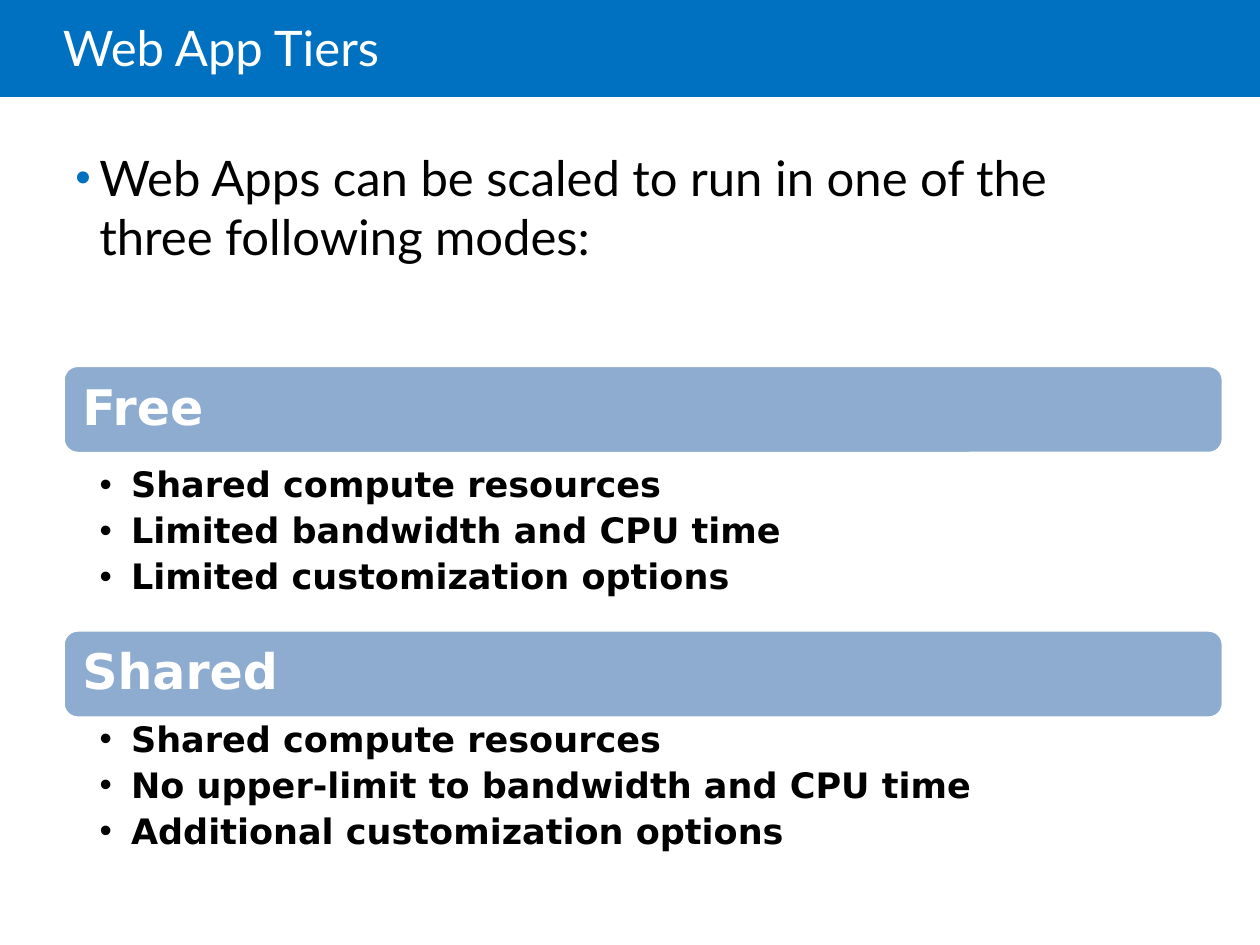
import pptx
import pptx.util
import pptx.dml.color
import pptx.enum.shapes
import pptx.enum.text
import pptx.oxml.ns
from lxml import etree

Inch, Pt = pptx.util.Inches, pptx.util.Pt
Kind = pptx.enum.shapes.MSO_SHAPE
Anchor = pptx.enum.text.MSO_ANCHOR

WIDE, HIGH = 10, 7.5
LEFT = WIDE * 0.05
SPAN = 9.21
BAR = 0.7

TITLE = "Web App Tiers"
INTRO = "Web Apps can be scaled to run in one of the three following modes:"
# name, top of bar, top of list, list height, points
TIERS = [
    ("Free", 2.9, 3.68, 1.4, [
        "Shared compute resources",
        "Limited bandwidth and CPU time",
        "Limited customization options"]),
    ("Shared", 5, 5.7, 1.04, [
        "Shared compute resources",
        "No upper-limit to bandwidth and CPU time",
        "Additional customization options"]),
]

HEAD = {"size": Pt(28), "name": "Lato", "color": "FFFFFF"}
BODY = {**HEAD, "color": "000000"}
LABEL = {"size": Pt(28), "name": "DejaVu Sans", "color": "FFFFFF", "bold": True}
POINT = {**LABEL, "size": Pt(20), "color": "000000"}


def tint(text):
    return pptx.dml.color.RGBColor.from_string(text)


def bullet(para, indent, color, share):
    """Add a hanging bullet; share is its size in percent of the text."""
    props = para._p.get_or_add_pPr()
    props.set("marL", str(Inch(indent)))
    props.set("indent", str(-Inch(indent)))

    def add(parent, tag, **attrs):
        return etree.SubElement(parent, pptx.oxml.ns.qn("a:" + tag), attrs)

    add(add(props, "buClr"), "srgbClr", val=color)
    add(props, "buSzPct", val=str(share * 1000))
    add(props, "buFont", typeface="Arial")
    add(props, "buChar", char="•")


def write(shape, lines, style, pads, anchor=Anchor.TOP, mark=None, **gaps):
    frame = shape.text_frame
    frame.word_wrap = True
    frame.vertical_anchor = anchor
    for side, pad in zip(("left", "top", "right", "bottom"), pads):
        setattr(frame, "margin_" + side, Inch(pad))
    frame.text = "\n".join(lines)
    for para in frame.paragraphs:
        para.alignment = pptx.enum.text.PP_ALIGN.LEFT
        for key, value in gaps.items():
            setattr(para, key, value)
        if mark:
            bullet(para, *mark)
        font = para.runs[0].font
        for key, value in style.items():
            if key == "color":
                font.color.rgb = tint(value)
            else:
                setattr(font, key, value)


def block(shapes, kind, box, fill):
    shape = shapes.add_shape(kind, *map(Inch, box))
    shape.shadow.inherit = False
    shape.fill.solid()
    shape.fill.fore_color.rgb = tint(fill)
    shape.line.fill.background()
    return shape


def label(shapes, *box):
    return shapes.add_textbox(*map(Inch, box))


def main():
    deck = pptx.Presentation()
    deck.slide_width, deck.slide_height = Inch(WIDE), Inch(HIGH)
    shapes = deck.slides.add_slide(deck.slide_layouts[6]).shapes

    block(shapes, Kind.RECTANGLE, (0, 0, WIDE, 0.77), "0070C0")
    write(label(shapes, LEFT, 0, 8.5, 0.81), [TITLE], HEAD,
          (0, 0.05, 0.1, 0.05), Anchor.MIDDLE, line_spacing=0.85)
    write(label(shapes, LEFT, 1.12, 8.88, 5.63), [INTRO], BODY,
          (0.1, 0.05, 0.1, 0.05), mark=(0.19, "0070C0", 90),
          space_before=Pt(6))

    for name, top, start, tall, points in TIERS:
        bar = block(shapes, Kind.ROUNDED_RECTANGLE,
                    (LEFT, top, SPAN, BAR), "8DACD0")
        bar.line.color.rgb = tint("FFFFFF")
        bar.line.width = Pt(2)
        write(bar, [name], LABEL, (0.12, 0.12, 0.12, 0.12), Anchor.MIDDLE,
              line_spacing=0.9)
        write(label(shapes, LEFT, start, SPAN, tall), points, POINT,
              (0.29, 0.03, 0.16, 0.03), mark=(0.25, "000000", 100),
              line_spacing=0.9, space_after=Pt(4.7))

    deck.save("out.pptx")


if __name__ == "__main__":
    main()
